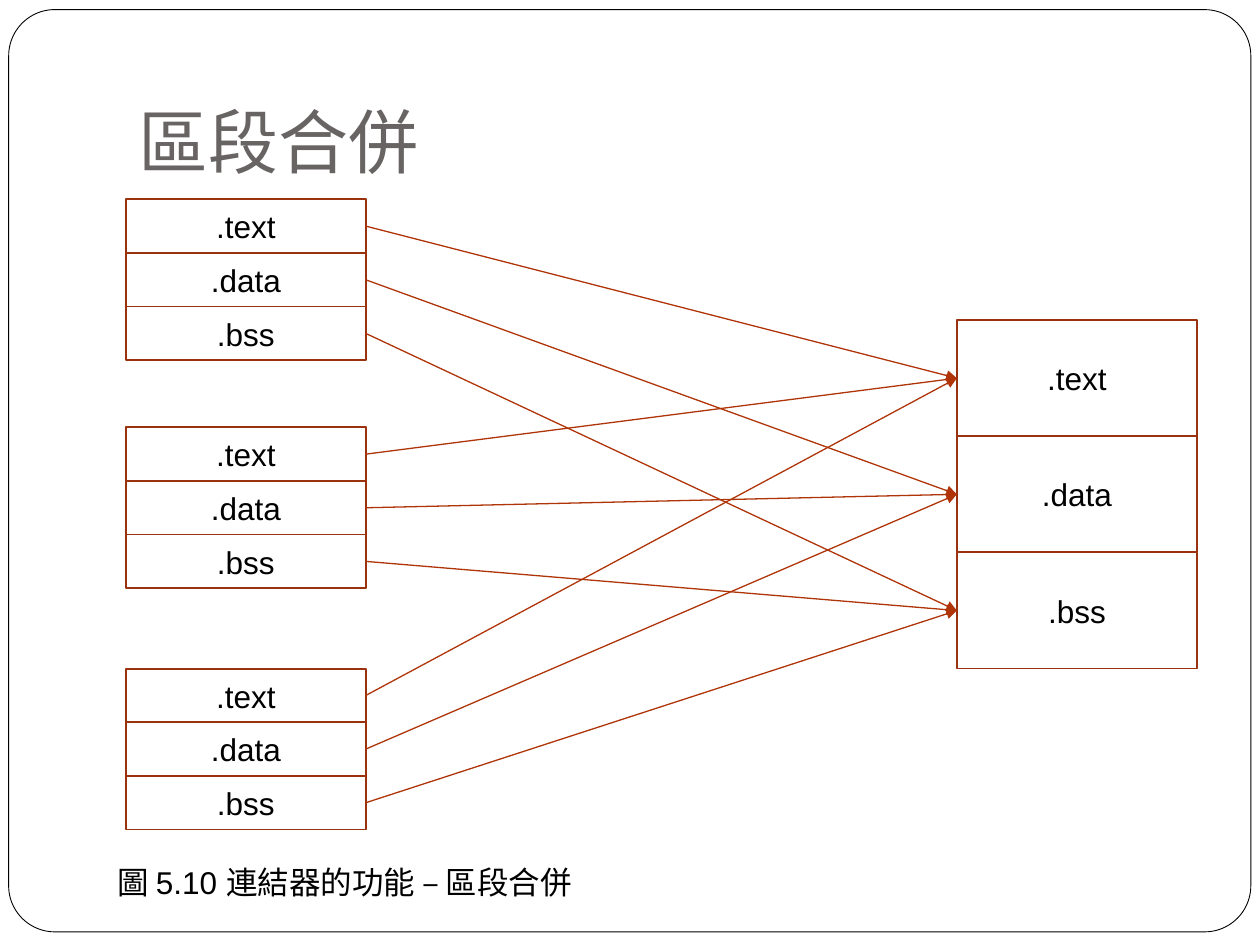
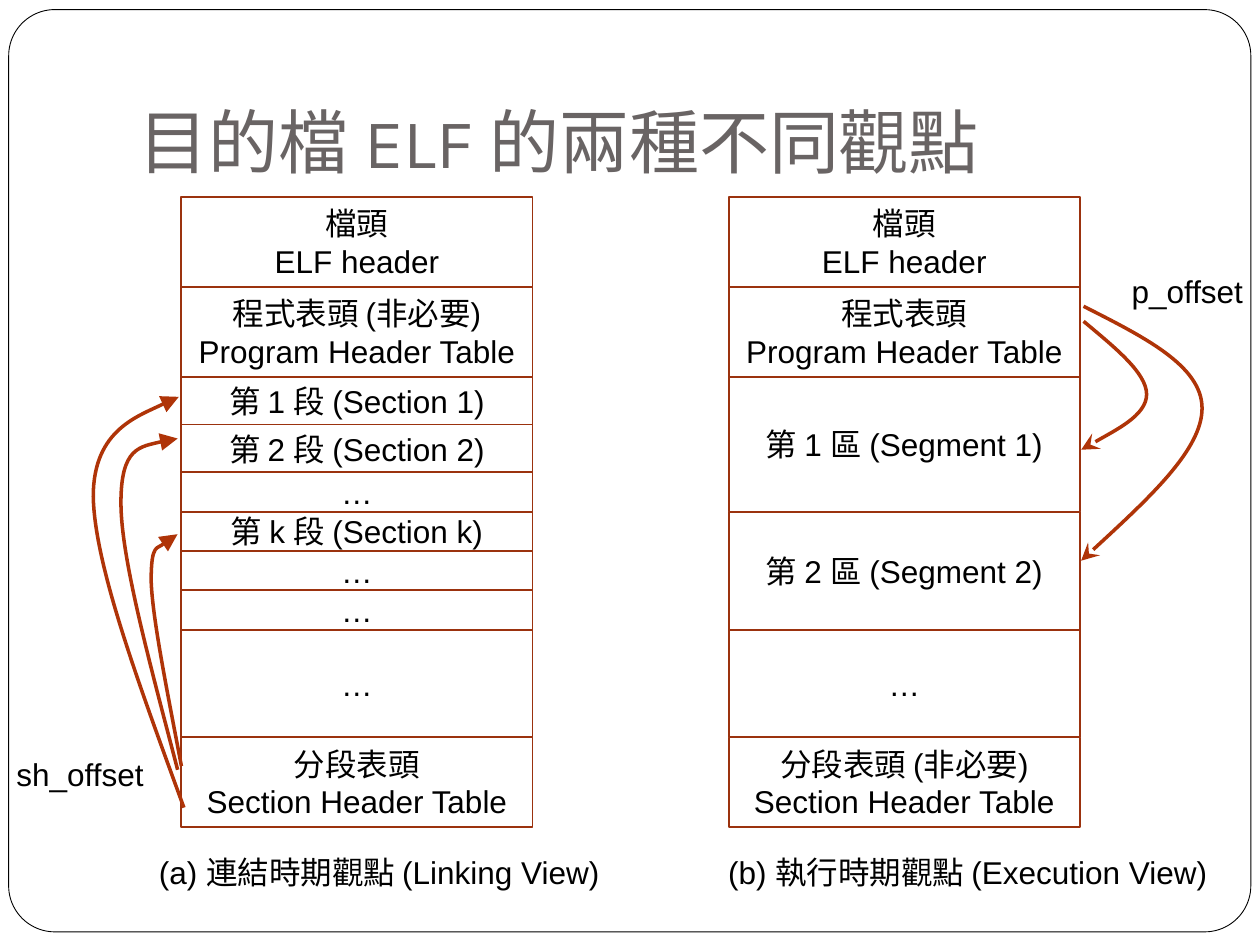
from dataclasses import dataclass

from pptx import Presentation
from pptx.dml.color import RGBColor
from pptx.enum.shapes import MSO_CONNECTOR, MSO_SHAPE
from pptx.enum.text import MSO_ANCHOR, MSO_AUTO_SIZE, PP_ALIGN
from pptx.oxml.ns import qn
from pptx.util import Pt
from lxml.etree import SubElement

COLORS = {"paper": "FFFFFF", "ink": "000000", "title": "696464",
          "box": "9B320E", "arrow": "AF3408"}
BODY_FONT, TITLE_FONT = "Arial", "Karla"

Point = tuple[float, float]


@dataclass
class Stack:
    """A column of boxes that touch, drawn from the top down."""
    left: float
    top: float
    width: float
    rows: list[tuple[str, float]]  # label, height

    def middles(self) -> list[float]:
        heights = [height for _, height in self.rows]
        return [self.top + sum(heights[:i]) + h / 2 for i, h in enumerate(heights)]


@dataclass
class Curve:
    """Cubic Bezier pieces: a start, then three points for each piece."""
    points: list[Point]
    head: str


def rgb(name: str) -> RGBColor:
    return RGBColor.from_string(COLORS[name])


def put_text(shape, text: str, *, size: float = 18, font: str = BODY_FONT,
             color: str = "ink", align=PP_ALIGN.LEFT, anchor=MSO_ANCHOR.TOP,
             wrap: bool = True, fit=MSO_AUTO_SIZE.NONE, bottom: float = 3.6) -> None:
    tf = shape.text_frame
    tf.word_wrap, tf.auto_size, tf.vertical_anchor = wrap, fit, anchor
    tf.margin_left = tf.margin_right = Pt(7.2)
    tf.margin_top, tf.margin_bottom = Pt(3.6), Pt(bottom)
    for i, line in enumerate(text.split("\n")):
        p = tf.add_paragraph() if i else tf.paragraphs[0]
        p.alignment = align
        r = p.add_run()
        r.text = line
        r.font.size, r.font.name = Pt(size), font
        r.font.color.rgb = rgb(color)


def set_line(shape, color: str, width: float, head: str = "",
             head_size: str = "med") -> None:
    shape.line.color.rgb = rgb(color)
    shape.line.width = Pt(width)
    if head:
        ln = shape.element.spPr.find(qn("a:ln"))
        SubElement(ln, qn("a:tailEnd"), type=head, w=head_size, len=head_size)


def add_frame(s, layout) -> None:
    """Put the rounded page frame on the layout, behind everything."""
    sp = s.shapes.add_shape(MSO_SHAPE.ROUNDED_RECTANGLE,
                            Pt(5), Pt(5.5), Pt(709.8), Pt(527))
    sp.adjustments[0] = 0.05
    sp.fill.solid()
    sp.fill.fore_color.rgb = rgb("paper")
    set_line(sp, "ink", 0.5)
    sp.shadow.inherit = False
    layout.shapes.element.insert(2, sp.element)


def add_title(s, text: str) -> None:
    title = s.shapes.title
    title.left, title.top, title.width, title.height = Pt(72), Pt(21.6), Pt(612), Pt(90)
    put_text(title, text, size=40, font=TITLE_FONT, color="title",
             anchor=MSO_ANCHOR.BOTTOM, bottom=7.2)


def add_label(s, text: str, left: float, top: float, width: float) -> None:
    tb = s.shapes.add_textbox(Pt(left), Pt(top), Pt(width), Pt(29))
    put_text(tb, text, wrap=False, fit=MSO_AUTO_SIZE.SHAPE_TO_FIT_TEXT)


def add_stack(s, stack: Stack) -> None:
    for (text, height), middle in zip(stack.rows, stack.middles()):
        sp = s.shapes.add_shape(MSO_SHAPE.RECTANGLE, Pt(stack.left),
                                Pt(middle - height / 2), Pt(stack.width), Pt(height))
        sp.fill.background()
        sp.shadow.inherit = False
        set_line(sp, "box", 1)
        put_text(sp, text, align=PP_ALIGN.CENTER, anchor=MSO_ANCHOR.MIDDLE)


def add_arrow(s, start: Point, end: Point) -> None:
    cn = s.shapes.add_connector(MSO_CONNECTOR.STRAIGHT,
                                *(Pt(v) for v in (*start, *end)))
    set_line(cn, "arrow", 0.75, "triangle")
    SubElement(cn.element.spPr, qn("a:effectLst"))


def add_curve(s, curve: Curve) -> None:
    start, *rest = [(Pt(x), Pt(y)) for x, y in curve.points]
    fb = s.shapes.build_freeform(*start)
    fb.add_line_segments(rest, close=False)
    sp = fb.convert_to_shape()
    # Turn every three straight segments into one Bezier piece
    outline = next(sp.element.iter(qn("a:moveTo"))).getparent()
    for i, segment in enumerate(outline.findall(qn("a:lnTo"))):
        if i % 3 == 0:
            piece = SubElement(outline, qn("a:cubicBezTo"))
        piece.append(segment[0])
        outline.remove(segment)
    sp.fill.background()
    sp.shadow.inherit = False
    set_line(sp, "arrow", 2, curve.head, "lg")


prs = Presentation()
prs.slide_width, prs.slide_height = Pt(720), Pt(540)
layout = prs.slide_layouts[5]

# Slide 1: sections of three object files merge into one
s = prs.slides.add_slide(layout)
add_frame(s, layout)
add_title(s, "區段合併")
SECTIONS = [".text", ".data", ".bss"]
sources = [Stack(72, top, 137, [(name, 30.65) for name in SECTIONS])
           for top in (113.9, 244.2, 382.1)]
merged = Stack(546.8, 182.9, 137.2, [(name, 66.4) for name in SECTIONS])
for stack in (*sources, merged):
    add_stack(s, stack)
for stack in sources:
    for y1, y2 in zip(stack.middles(), merged.middles()):
        add_arrow(s, (stack.left + stack.width, y1), (merged.left, y2))
add_label(s, "圖 5.10 連結器的功能 – 區段合併", 60, 489.6, 284)

# Slide 2: the linking view and the execution view of an ELF file
s = prs.slides.add_slide(layout)
add_title(s, "目的檔 ELF 的兩種不同觀點")
TABLE, SECTION, SMALL, REST = 51.4, 27.3, 22.5, 61.5  # row heights
linking = Stack(103.6, 112.5, 200.7, [
    ("檔頭\nELF header", TABLE),
    ("程式表頭 (非必要)\nProgram Header Table", TABLE),
    ("第 1 段 (Section 1)", SECTION),
    ("第 2 段 (Section 2)", SECTION),
    ("…", SMALL),
    ("第 k 段 (Section k)", SMALL),
    ("…", SMALL),
    ("…", SMALL),
    ("…", REST),
    ("分段表頭\nSection Header Table", TABLE),
])
execution = Stack(416.4, 112.5, 200.7, [
    ("檔頭\nELF header", TABLE),
    ("程式表頭\nProgram Header Table", TABLE),
    ("第 1 區 (Segment 1)", 2 * SECTION + SMALL),
    ("第 2 區 (Segment 2)", 3 * SMALL),
    ("…", REST),
    ("分段表頭 (非必要)\nSection Header Table", TABLE),
])
for stack in (linking, execution):
    add_stack(s, stack)

# Offsets from the header tables to their sections and segments
curves = [
    Curve([(103.7, 437.8), (95.8, 396), (87.1, 353.5), (86.4, 331.9),
           (86.4, 309.6), (101.5, 305.3), (101.5, 305.3)], "triangle"),
    Curve([(105.1, 461.5), (79.9, 392.4), (54, 323.3), (53.3, 283.7),
           (53.3, 244.8), (102.2, 226.8), (102.2, 226.8)], "triangle"),
    Curve([(101.5, 439.9), (85.7, 379.4), (69.1, 319), (69.1, 287.3),
           (69.1, 255.6), (85.7, 253.4), (101.5, 250.6)], "triangle"),
    Curve([(619.2, 183.6), (637.2, 198.7), (655.2, 213.1), (655.2, 225.4),
           (655.2, 237.6), (617.8, 257), (617.8, 257)], "stealth"),
    Curve([(619.2, 175), (653, 192.2), (686.9, 208.8), (686.9, 233.3),
           (686.9, 257), (652.3, 288.7), (617.8, 320.4)], "stealth"),
]
for curve in curves:
    add_curve(s, curve)

# Captions and offset names
add_label(s, "(a) 連結時期觀點 (Linking View)", 83.7, 483.8, 275.8)
add_label(s, "(b) 執行時期觀點 (Execution View)", 409, 483.8, 297.4)
add_label(s, "sh_offset", 2.3, 427.7, 87)
add_label(s, "p_offset", 639.5, 152, 78.5)

prs.save("out.pptx")
